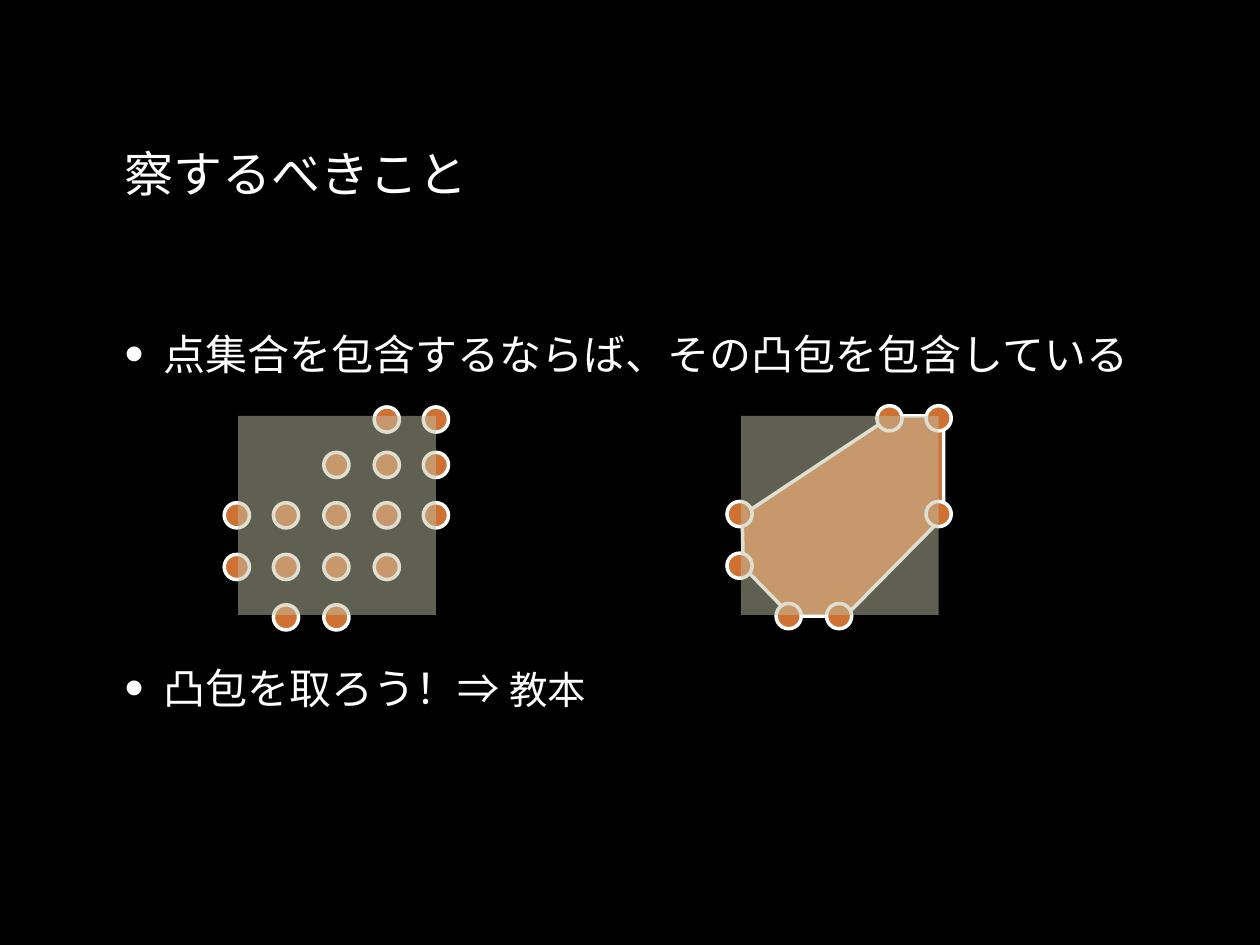
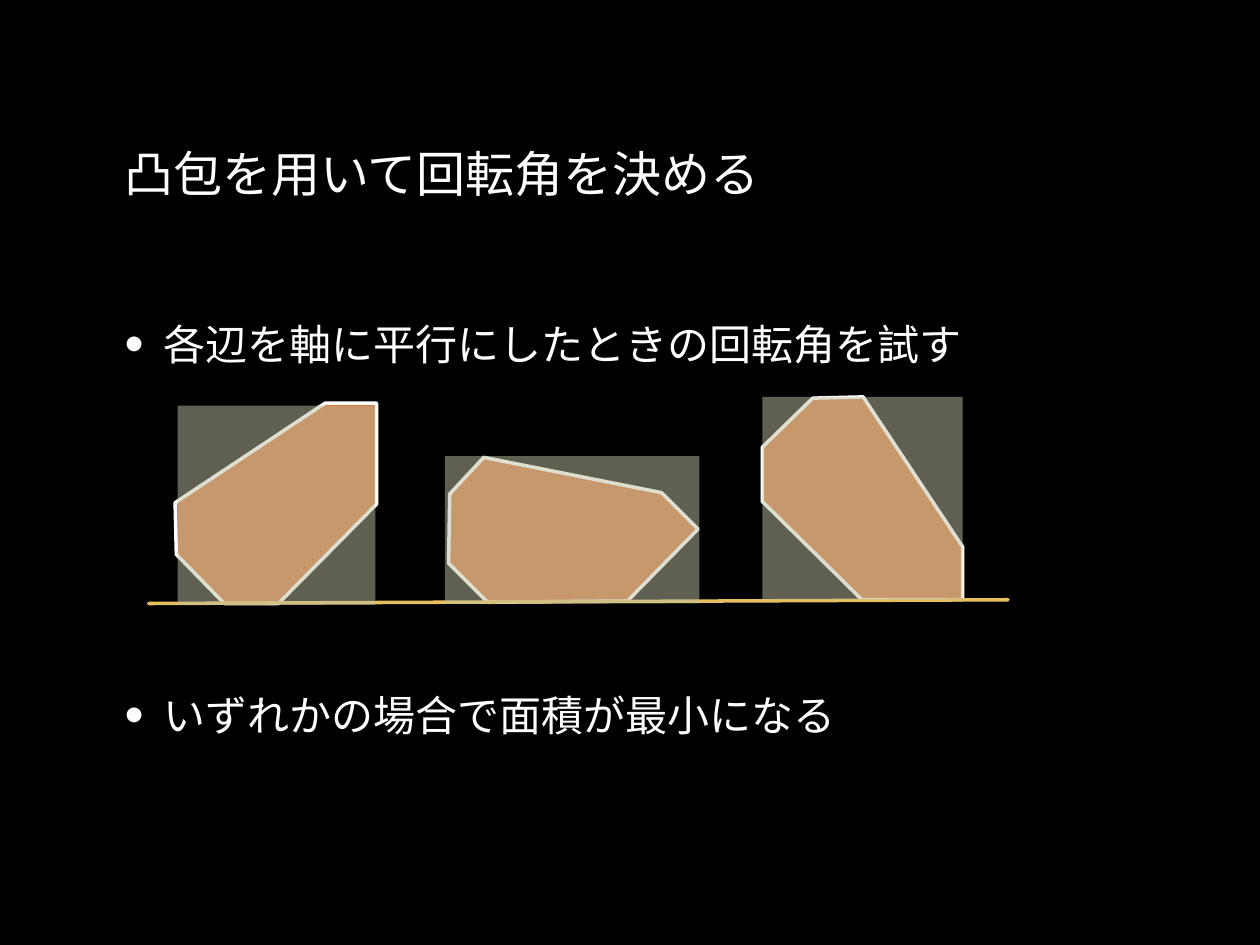
"""Build two slides on finding the smallest box around points through their convex hull."""
from dataclasses import dataclass

from lxml.etree import SubElement
from pptx import Presentation
from pptx.dml.color import RGBColor as RGB
from pptx.enum.shapes import MSO_CONNECTOR as CONN, MSO_SHAPE as SHAPE
from pptx.enum.text import MSO_ANCHOR as ANCHOR
from pptx.oxml.ns import qn
from pptx.util import Inches, Pt


@dataclass(frozen=True)
class Theme:
    back: RGB = RGB(0x00, 0x00, 0x00)
    text: RGB = RGB(0xFF, 0xFF, 0xFF)
    point: RGB = RGB(0xCF, 0x71, 0x33)
    box: RGB = RGB(0xBF, 0xBF, 0xA5)
    ground: RGB = RGB(0xE7, 0xBF, 0x5F)
    font: str = "DejaVu Sans Mono"
    title: int = 28
    body: int = 24
    small: int = 22
    stroke: int = 2


T = Theme()
LEFT, WIDTH = 0.89, 8.21
TITLE_BOX = (LEFT, 0.65, WIDTH, 1.44)
DOT = 0.2

POINTS_SLIDE = {
    "title": "察するべきこと",
    "bullets": [
        (2.25, 1.11, [("点集合を包含するならば、その凸包を包含している", T.body)]),
        (5.06, 0.79, [("凸包を取ろう！⇒ ", T.body), ("教本", T.small)]),
    ],
}
ROTATION_SLIDE = {
    "title": "凸包を用いて回転角を決める",
    "bullets": [
        (2.25, 0.95, [("各辺を軸に平行にしたときの回転角を試す", T.body)]),
        (5.2, 0.95, [("いずれかの場合で面積が最小になる", T.body)]),
    ],
}

COLUMNS = [1.78, 2.17, 2.57, 2.97, 3.36]
ROWS = [3.23, 3.59, 3.99, 4.4, 4.8]
GRID = ["...HH", "..ooo", "HoooH", "Hooo.", ".HH.."]
SQUARE = (1.89, 3.3, 1.57, 1.58)
HULL_SHIFT = (3.99, -0.01)

HULL = [(5.89, 4.09), (7.08, 3.3), (7.49, 3.3), (7.49, 4.1),
        (6.71, 4.89), (6.28, 4.89), (5.9, 4.5)]
TURNED_HULLS = [
    [(x - 4.5, y - 0.1) for x, y in HULL],
    [(3.84, 3.63), (5.25, 3.91), (5.54, 4.2), (4.98, 4.77),
     (3.87, 4.78), (3.56, 4.47), (3.57, 3.92)],
    [(6.85, 3.15), (7.64, 4.34), (7.64, 4.76), (6.84, 4.76),
     (6.05, 3.98), (6.05, 3.55), (6.45, 3.16)],
]
TURNED_BOXES = [(1.41, 3.22, 1.57, 1.58), (3.53, 3.62, 2.02, 1.17), (6.05, 3.15, 1.59, 1.61)]
GROUND = (1.18, 4.79, 8, 4.76)


def inches(values):
    return [Inches(v) for v in values]


def add_text(s, box, runs, bullet=False):
    tf = s.shapes.add_textbox(*inches(box)).text_frame
    tf.word_wrap = True
    tf.vertical_anchor = ANCHOR.MIDDLE
    p = tf.paragraphs[0]
    if bullet:
        set_bullet(p)
    for text, size in runs:
        r = p.add_run()
        r.text = text
        r.font.name = T.font
        r.font.size = Pt(size)
        r.font.color.rgb = T.text


def set_bullet(p):
    p.space_after = Pt(6)
    pPr = p._p.get_or_add_pPr()
    pPr.set("marL", str(Inches(0.31)))
    pPr.set("indent", str(-Inches(0.31)))
    before = pPr.makeelement(qn("a:spcBef"), {})
    SubElement(before, qn("a:spcPct"), val="20000")
    pPr.insert(0, before)
    SubElement(SubElement(pPr, qn("a:buClr")), qn("a:srgbClr"), val=str(T.text))
    SubElement(pPr, qn("a:buSzPct"), val="130000")
    SubElement(pPr, qn("a:buFont"), typeface="Arial")
    SubElement(pPr, qn("a:buChar"), char="•")


def paint(sp):
    sp.shadow.inherit = False
    sp.fill.solid()
    sp.fill.fore_color.rgb = T.point
    sp.line.color.rgb = T.text
    sp.line.width = Pt(T.stroke)


def add_hull(s, corners):
    first, *rest = [inches(c) for c in corners]
    builder = s.shapes.build_freeform(*first)
    builder.add_line_segments(rest, close=True)
    paint(builder.convert_to_shape())


def add_dot(s, x, y):
    paint(s.shapes.add_shape(SHAPE.OVAL, *inches((x, y, DOT, DOT))))


def add_box(s, box):
    sp = s.shapes.add_shape(SHAPE.RECTANGLE, *inches(box))
    sp.shadow.inherit = False
    sp.fill.solid()
    sp.fill.fore_color.rgb = T.box
    color = sp._element.spPr.find(qn("a:solidFill"))[0]
    SubElement(color, qn("a:alpha"), val="50000")
    sp.line.fill.background()


def add_ground(s):
    cx = s.shapes.add_connector(CONN.STRAIGHT, *inches(GROUND))
    cx.line.color.rgb = T.ground
    cx.line.width = Pt(T.stroke)
    cx.line._ln.set("cap", "rnd")
    SubElement(cx._element.spPr, qn("a:effectLst"))


def add_slide(prs, content):
    s = prs.slides.add_slide(prs.slide_layouts[6])
    s.background.fill.solid()
    s.background.fill.fore_color.rgb = T.back
    add_text(s, TITLE_BOX, [(content["title"], T.title)])
    for top, height, runs in content["bullets"]:
        add_text(s, (LEFT, top, WIDTH, height), runs, bullet=True)
    return s


def draw_points(s):
    add_hull(s, HULL)
    for kinds, (dx, dy) in (("oH", (0, 0)), ("H", HULL_SHIFT)):
        for y, marks in zip(ROWS, GRID):
            for x, mark in zip(COLUMNS, marks):
                if mark in kinds:
                    add_dot(s, x + dx, y + dy)
        left, top, width, height = SQUARE
        add_box(s, (left + dx, top, width, height))


def draw_rotations(s):
    for corners in TURNED_HULLS:
        add_hull(s, corners)
    add_ground(s)
    for box in TURNED_BOXES:
        add_box(s, box)


def main():
    prs = Presentation()
    prs.slide_width, prs.slide_height = Inches(10), Inches(7.5)
    draw_points(add_slide(prs, POINTS_SLIDE))
    draw_rotations(add_slide(prs, ROTATION_SLIDE))
    prs.save("out.pptx")


if __name__ == "__main__":
    main()
